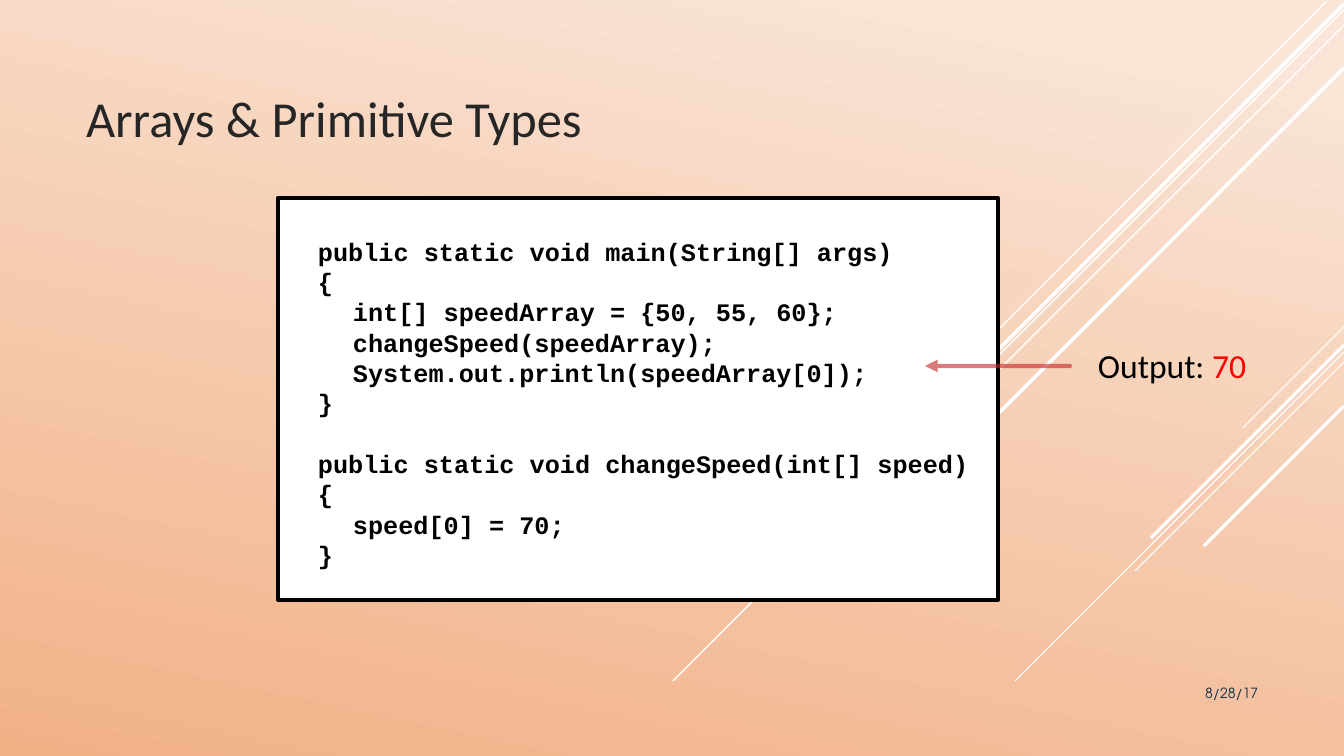
import pptx
import pptx.dml.color
import pptx.enum.shapes
import pptx.enum.text
import pptx.oxml.ns
import pptx.util
from lxml import etree

TITLE = "Arrays & Primitive Types"
OUTPUT = [("Output: ", "black"), ("70", "red")]
DATE = "8/28/17"
# Each method is a list of (indent level, code line)
METHODS = [
    [
        (0, "public static void main(String[] args)"),
        (0, "{"),
        (1, "int[] speedArray = {50, 55, 60};"),
        (1, "changeSpeed(speedArray);"),
        (1, "System.out.println(speedArray[0]);"),
        (0, "}"),
    ],
    [
        (0, "public static void changeSpeed(int[] speed)"),
        (0, "{"),
        (1, "speed[0] = 70;"),
        (0, "}"),
    ],
]
# Diagonal rays at 45 degrees: right x, top y, horizontal run (px), width (pt)
RAYS = [
    (1344, 327, 101, 0.75),
    (1344, 352, 329, 0.75),
    (1344, 362, 209, 0.75),
    (1344, 345, 193, 2.25),
    (1344, 406, 140, 2.25),
    (1327, 1, 420, 1),
    (1344, 10, 671, 1),
    (1344, 25, 546, 1),
    (1344, 4, 535, 2.5),
    (1344, 68, 479, 2.5),
]
COLORS = {
    "light": "FAE5D7", "peach": "F1B187", "white": "FFFFFF", "black": "000000",
    "title": "262626", "red": "FF0000", "arrow": "C62324", "date": "0A304A",
}
CODE_BOX = (278, 198, 720, 402)
TITLE_BOX = (76, 49, 882, 104)
OUTPUT_BOX = (1088, 340, 174, 59)
DATE_BOX = (1092, 680, 176, 40)
CODE_PITCH = 21.65
CODE_INDENT = 35
Pt = pptx.util.Pt


def px(length):
    return pptx.util.Emu(round(length * 914400 / 100.8))


def rgb(name):
    return pptx.dml.color.RGBColor.from_string(COLORS[name])


def style(run, font, size, color, bold=False):
    run.font.name = font
    run.font.size = Pt(size)
    run.font.bold = bold
    run.font.color.rgb = rgb(color)


def add_line(slide, start, end, color, width):
    line = slide.shapes.add_connector(
        pptx.enum.shapes.MSO_CONNECTOR.STRAIGHT, *map(px, start + end))
    line.line.color.rgb = rgb(color)
    line.line.width = Pt(width)
    etree.SubElement(line._element.spPr, pptx.oxml.ns.qn("a:effectLst"))
    return line


def add_text(slide, box):
    frame = slide.shapes.add_textbox(*map(px, box)).text_frame
    frame.word_wrap = True
    return frame.paragraphs[0]


def paint_background(slide):
    fill = slide.background.fill
    fill.gradient()
    fill.gradient_angle = 360 - 102
    for stop, position, color in zip(fill.gradient_stops, (0.07, 1), ("light", "peach")):
        stop.position = position
        stop.color.rgb = rgb(color)


def add_code(slide):
    panel = slide.shapes.add_shape(
        pptx.enum.shapes.MSO_SHAPE.RECTANGLE, *map(px, CODE_BOX))
    panel.shadow.inherit = False
    panel.fill.solid()
    panel.fill.fore_color.rgb = rgb("white")
    panel.line.color.rgb = rgb("black")
    panel.line.width = Pt(3)
    frame = panel.text_frame
    frame.word_wrap = True
    frame.vertical_anchor = pptx.enum.text.MSO_ANCHOR.TOP
    frame.margin_left, frame.margin_top, frame.margin_right = px(40), px(38), px(10)
    lines = [(level, code, number > 0 and row == 0)
             for number, method in enumerate(METHODS)
             for row, (level, code) in enumerate(method)]
    frame.text = "\n".join(code for _, code, _ in lines)
    for paragraph, (level, _, after_gap) in zip(frame.paragraphs, lines):
        paragraph.alignment = pptx.enum.text.PP_ALIGN.LEFT
        paragraph.line_spacing = Pt(CODE_PITCH)
        paragraph.space_before = Pt(CODE_PITCH if after_gap else 0)
        paragraph._p.get_or_add_pPr().set("marL", str(px(CODE_INDENT * level)))
        style(paragraph.runs[0], "Courier New", 18, "black", bold=True)


def add_title(slide):
    title = slide.shapes.title
    title.left, title.top, title.width, title.height = map(px, TITLE_BOX)
    title.text_frame.text = TITLE
    title.text_frame.vertical_anchor = pptx.enum.text.MSO_ANCHOR.BOTTOM
    heading = title.text_frame.paragraphs[0]
    heading.alignment = pptx.enum.text.PP_ALIGN.LEFT
    style(heading.runs[0], "Calibri", 36, "title")


def add_output(slide):
    output = add_text(slide, OUTPUT_BOX)
    for words, color in OUTPUT:
        run = output.add_run()
        run.text = words
        style(run, "Calibri", 24, color)
    arrow = add_line(slide, (1070, 366), (925, 366), "arrow", 3)
    outline = arrow.line._get_or_add_ln()
    outline.set("cap", "rnd")
    color = outline.find(".//" + pptx.oxml.ns.qn("a:srgbClr"))
    etree.SubElement(color, pptx.oxml.ns.qn("a:alpha"), val="60000")
    etree.SubElement(outline, pptx.oxml.ns.qn("a:tailEnd"), type="triangle")


def add_date(slide):
    date = add_text(slide, DATE_BOX)
    date.text = DATE
    date.alignment = pptx.enum.text.PP_ALIGN.RIGHT
    style(date.runs[0], "TeX Gyre Adventor", 10, "date")


def main():
    deck = pptx.Presentation()
    deck.slide_width, deck.slide_height = px(1344), px(756)
    slide = deck.slides.add_slide(deck.slide_layouts[5])
    paint_background(slide)
    for right, top, run, width in RAYS:
        add_line(slide, (right, top), (right - run, top + run), "white", width)
    add_code(slide)
    add_title(slide)
    add_output(slide)
    add_date(slide)
    deck.save("out.pptx")


if __name__ == "__main__":
    main()
